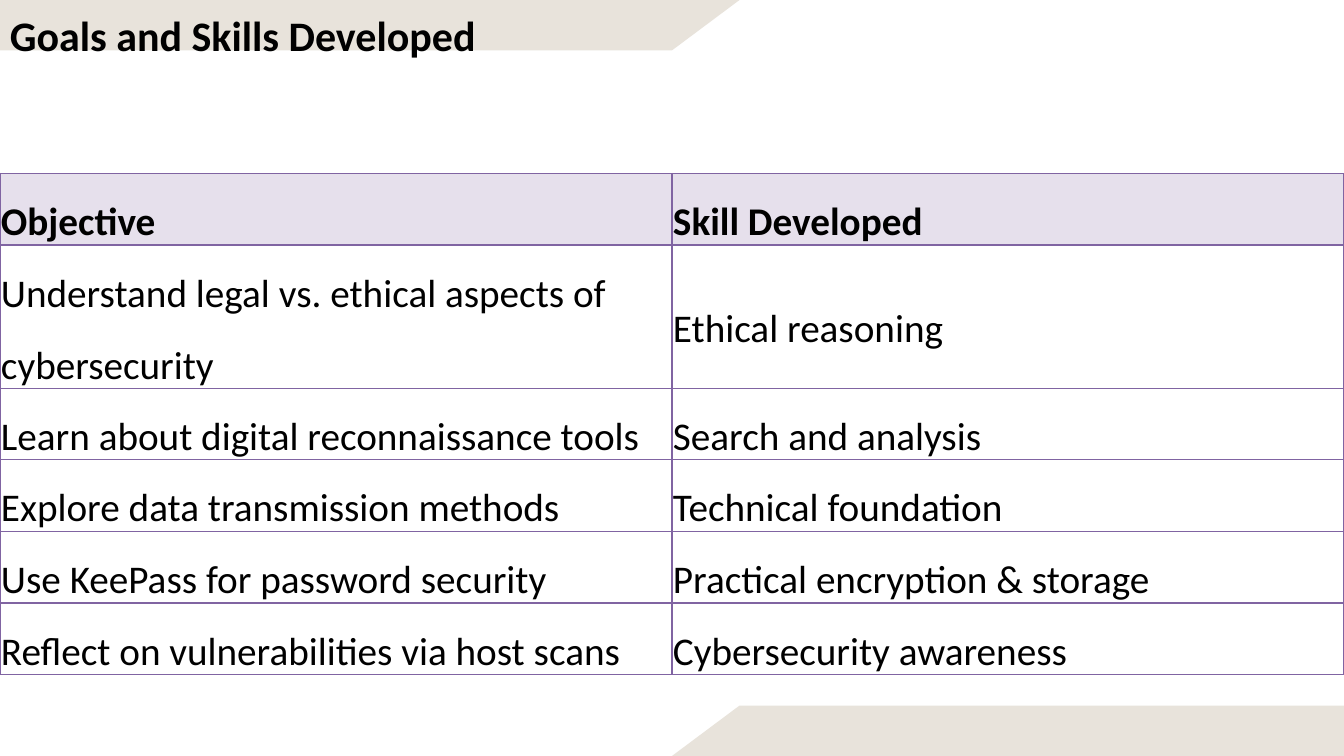
from lxml import etree
from pptx import Presentation
from pptx import util as u
from pptx.dml.color import RGBColor
from pptx.enum import text
from pptx.oxml import ns

TITLE = "Goals and Skills Developed"
ROWS = [
    ("Objective", "Skill Developed"),
    ("Understand legal vs. ethical aspects of cybersecurity", "Ethical reasoning"),
    ("Learn about digital reconnaissance tools", "Search and analysis"),
    ("Explore data transmission methods", "Technical foundation"),
    ("Use KeePass for password security", "Practical encryption & storage"),
    ("Reflect on vulnerabilities via host scans", "Cybersecurity awareness"),
]
COLORS = {"band": "E8E3DB", "header": "E6E0EC", "border": "8064A2", "text": "000000"}
FONT = "Calibri"
WIDTH, HEIGHT = 13.33, 7.5
MIDDLE = WIDTH / 2
BAND, SLANT = 0.5, 0.67
ROW = 0.71
TALL_ROW = 1
BANDS = [
    [(0, 0), (MIDDLE + SLANT, 0), (MIDDLE, BAND), (0, BAND)],
    [(MIDDLE + SLANT, HEIGHT - BAND), (WIDTH, HEIGHT - BAND), (WIDTH, HEIGHT), (MIDDLE, HEIGHT)],
]


def color(name):
    return RGBColor.from_string(COLORS[name])


def write(frame, words, size, bold):
    frame.text = words
    para = frame.paragraphs[0]
    para.alignment = text.PP_ALIGN.LEFT
    para.line_spacing = 1.5
    for span in para.runs:
        span.font.name = FONT
        span.font.size = u.Pt(size)
        span.font.bold = bold
        span.font.color.rgb = color("text")


def add_band(page, points):
    corners = [(u.Inches(x), u.Inches(y)) for x, y in points]
    builder = page.shapes.build_freeform(*corners[0])
    builder.add_line_segments(corners[1:], close=True)
    band = builder.convert_to_shape()
    band.shadow.inherit = False
    band.fill.solid()
    band.fill.fore_color.rgb = color("band")
    band.line.fill.background()


def add_borders(cell):
    props = cell._tc.get_or_add_tcPr()
    for place, side in enumerate(("lnL", "lnR", "lnT", "lnB")):
        line = etree.Element(ns.qn(f"a:{side}"), w=str(u.Pt(1)))
        fill = etree.SubElement(line, ns.qn("a:solidFill"))
        etree.SubElement(fill, ns.qn("a:srgbClr"), val=COLORS["border"])
        props.insert(place, line)


def add_goals(page):
    frame = page.shapes.add_table(
        len(ROWS), 2, 0, u.Inches(1.72), u.Inches(WIDTH), u.Inches(ROW * (len(ROWS) + 1)))
    table = frame.table
    table.horz_banding = False
    for r, words in enumerate(ROWS):
        table.rows[r].height = u.Inches(ROW * (2 if r == TALL_ROW else 1))
        for c, entry in enumerate(words):
            cell = table.cell(r, c)
            cell.margin_left = cell.margin_right = u.Inches(0.01)
            cell.margin_top, cell.margin_bottom = u.Inches(0.01), 0
            cell.vertical_anchor = text.MSO_ANCHOR.MIDDLE
            write(cell.text_frame, entry, 28, r == 0)
            if r == 0:
                cell.fill.solid()
                cell.fill.fore_color.rgb = color("header")
            else:
                cell.fill.background()
            add_borders(cell)


def main():
    deck = Presentation()
    deck.slide_width, deck.slide_height = u.Inches(WIDTH), u.Inches(HEIGHT)
    page = deck.slides.add_slide(deck.slide_layouts[6])
    for points in BANDS:
        add_band(page, points)
    title = page.shapes.add_textbox(0, u.Inches(-0.2), u.Inches(WIDTH), u.Inches(0.78))
    title.text_frame.word_wrap = True
    write(title.text_frame, TITLE, 30, True)
    add_goals(page)
    deck.save("out.pptx")


if __name__ == "__main__":
    main()
